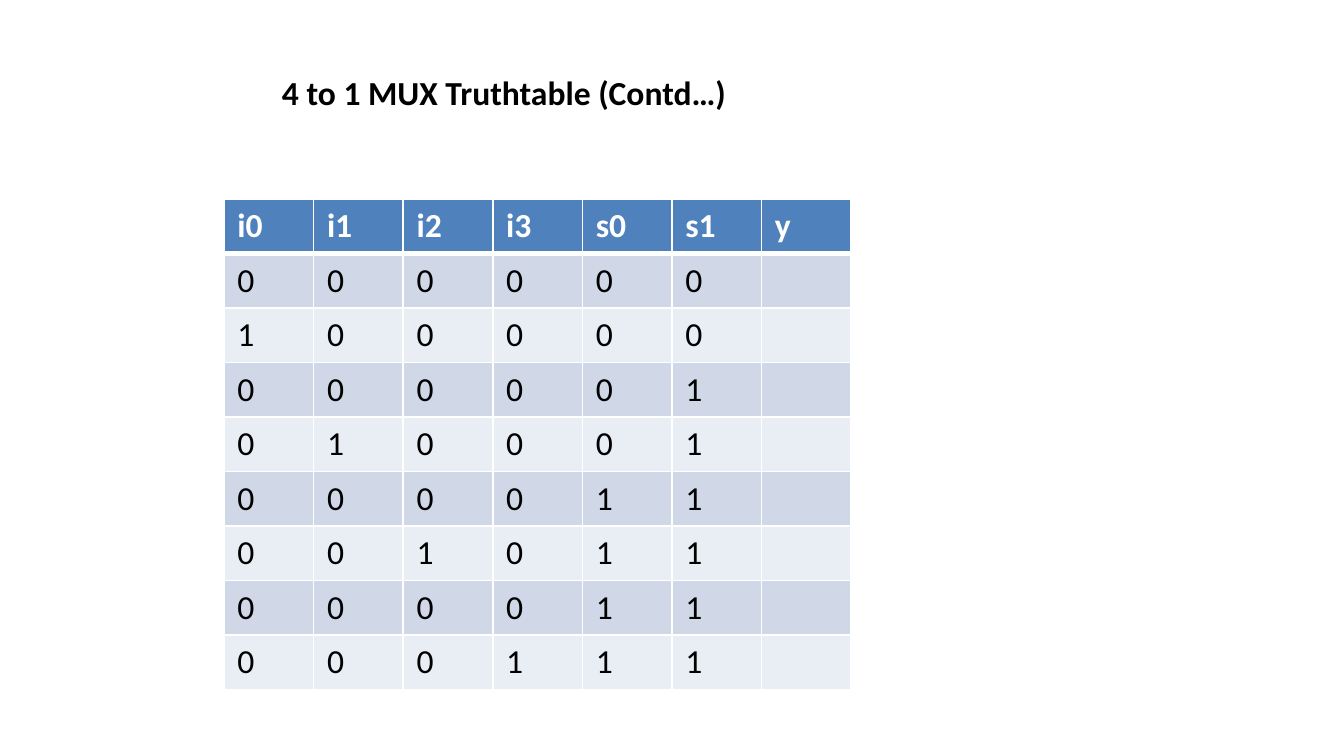
"""Build a slide with the second part of the 4 to 1 multiplexer truth table."""
from dataclasses import dataclass

from lxml.etree import SubElement
from pptx import Presentation
from pptx.dml.color import RGBColor
from pptx.enum.text import MSO_AUTO_SIZE
from pptx.oxml.ns import qn
from pptx.util import Pt

WHITE = RGBColor(0xFF, 0xFF, 0xFF)
BLACK = RGBColor(0x00, 0x00, 0x00)
HEADER_BLUE = RGBColor(0x4F, 0x81, 0xBD)
BAND_DARK = RGBColor(0xD0, 0xD8, 0xE8)
BAND_LIGHT = RGBColor(0xE9, 0xED, 0xF4)

COLUMN_WIDTH = 48
ROW_HEIGHT = 29.2
HEADINGS = ("i0", "i1", "i2", "i3", "s0", "s1", "y")
INPUT_ROWS = ("000000", "100000", "000001", "010001",
              "000011", "001011", "000011", "000111")


@dataclass(frozen=True)
class RowStyle:
    fill: RGBColor
    color: RGBColor
    bold: bool
    top: float = 1
    bottom: float = 1


HEADER = RowStyle(HEADER_BLUE, WHITE, True, bottom=3)
FIRST = RowStyle(BAND_DARK, BLACK, False, top=3)
DARK = RowStyle(BAND_DARK, BLACK, False)
LIGHT = RowStyle(BAND_LIGHT, BLACK, False)


def write(para, text: str, color: RGBColor, bold: bool) -> None:
    span = para.add_run()
    span.text = text
    for name, value in {"name": "Calibri", "size": Pt(18), "bold": bold}.items():
        setattr(span.font, name, value)
    span.font.color.rgb = color


def draw_borders(cell, style: RowStyle) -> None:
    properties = cell._tc.get_or_add_tcPr()
    widths = {"a:lnL": 1, "a:lnR": 1, "a:lnT": style.top, "a:lnB": style.bottom}
    for tag, width in widths.items():
        line = SubElement(properties, qn(tag), w=str(Pt(width)))
        fill = SubElement(line, qn("a:solidFill"))
        SubElement(fill, qn("a:srgbClr"), val=str(WHITE))


def fill_row(cells, texts: tuple[str, ...], style: RowStyle) -> None:
    for cell, text in zip(cells, texts):
        draw_borders(cell, style)
        cell.fill.solid()
        cell.fill.fore_color.rgb = style.fill
        if text:
            write(cell.text_frame.paragraphs[0], text, style.color, style.bold)


def add_truth_table(page) -> None:
    rows = [HEADINGS] + [(*bits, "") for bits in INPUT_ROWS]
    styles = [HEADER, FIRST] + [LIGHT, DARK] * 3 + [LIGHT]
    table = page.shapes.add_table(
        len(rows), len(HEADINGS), Pt(120), Pt(106.7),
        Pt(COLUMN_WIDTH * len(HEADINGS)), Pt(ROW_HEIGHT * len(rows))).table
    for column in table.columns:
        column.width = Pt(COLUMN_WIDTH)
    for row, texts, style in zip(table.rows, rows, styles):
        row.height = Pt(ROW_HEIGHT)
        fill_row(row.cells, texts, style)


def add_title(page) -> None:
    box = page.shapes.add_textbox(Pt(144), Pt(34.8), Pt(260), Pt(29))
    frame = box.text_frame
    frame.word_wrap = False
    frame.auto_size = MSO_AUTO_SIZE.SHAPE_TO_FIT_TEXT
    write(frame.paragraphs[0], "4 to 1 MUX Truthtable (Contd…)", BLACK, True)


def main() -> None:
    deck = Presentation()
    deck.slide_width, deck.slide_height = Pt(720), Pt(405)
    page = deck.slides.add_slide(deck.slide_layouts[6])
    add_truth_table(page)
    add_title(page)
    deck.save("out.pptx")


if __name__ == "__main__":
    main()
